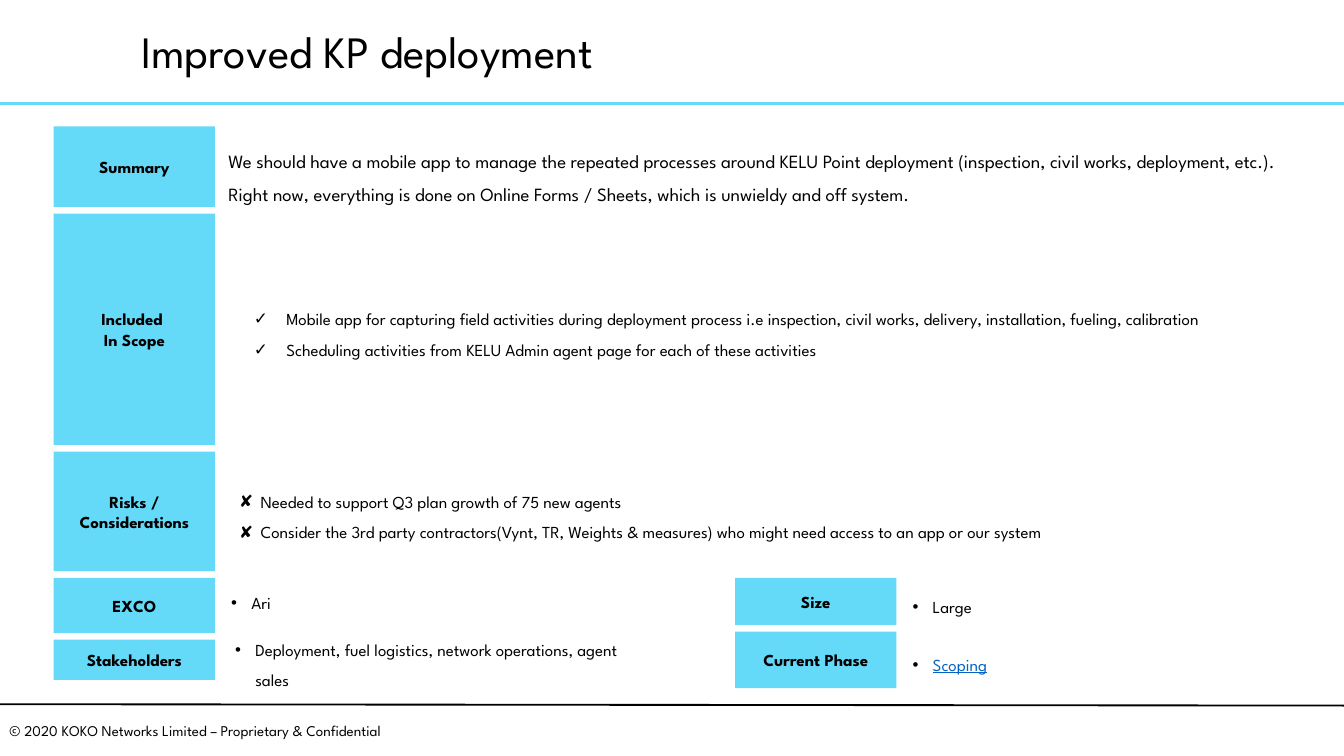
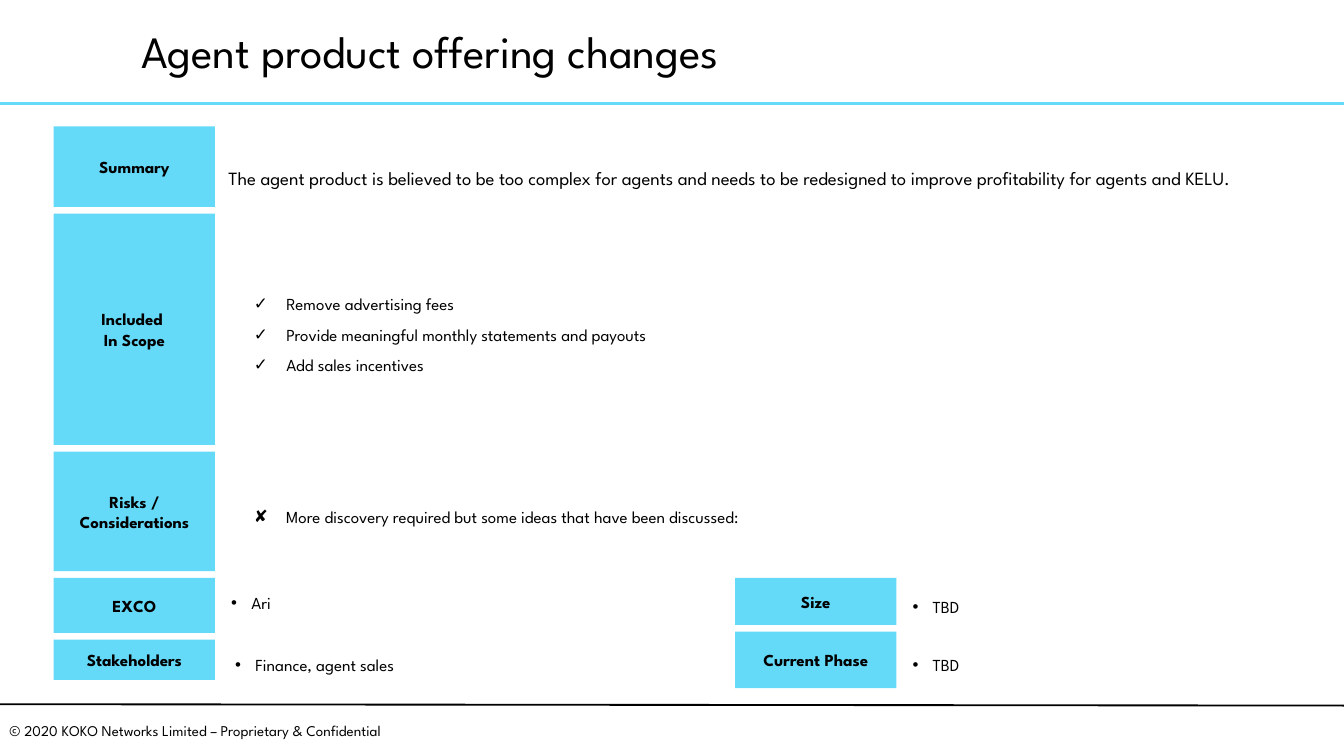
from dataclasses import dataclass

from lxml import etree
from pptx import Presentation
from pptx.dml.color import RGBColor
from pptx.enum.shapes import MSO_CONNECTOR, MSO_SHAPE
from pptx.enum.text import MSO_ANCHOR, MSO_AUTO_SIZE, PP_ALIGN
from pptx.oxml.ns import qn
from pptx.util import Inches, Pt

RECT, LINE = MSO_SHAPE.RECTANGLE, MSO_CONNECTOR.STRAIGHT
LEFT, MID = PP_ALIGN.LEFT, PP_ALIGN.CENTER
TOP, CENTRE = MSO_ANCHOR.TOP, MSO_ANCHOR.MIDDLE
FIXED = MSO_AUTO_SIZE.NONE

FONT = "League Spartan"
HEX = {"sky": "65D9F8", "ink": "000000", "link": "0563C1", "page": "FFFFFF"}
FOOTER = "© 2020 KOKO Networks Limited – Proprietary & Confidential"
PAGE = 10  # slide width, in a 16:9 format
GAP = 0.05  # between stacked labels
WIDE = 1.2  # label width


@dataclass(frozen=True)
class Style:
    size: float
    space: float = 1.0
    bold: bool = False
    line: bool = False
    hue: str = "ink"
    align: int = LEFT
    anchor: int = CENTRE
    pad: tuple[float, float] = (0, 0.07)  # sides, top and bottom


@dataclass(frozen=True)
class Mark:
    sign: str
    left: float
    hang: float


@dataclass(frozen=True)
class Label:
    lines: tuple[str, ...]
    high: float
    pad: float = 0.11


@dataclass(frozen=True)
class Stack:
    left: float
    top: float
    labels: tuple[Label, ...]


@dataclass(frozen=True)
class Note:
    lines: tuple[str, ...]
    mark: Mark | None = None
    style: Style = Style(9, 1.5)


# Text styles and bullets
TITLE = Style(24, 0.9, pad=(0.07, 0.04))
FOOT = Style(8, anchor=TOP, pad=(0.07, 0.04))
LEAD = Style(10, 1.5)
LINK = Style(9, 1.5, line=True, hue="link")
DOT = Mark("•", 0.15, 0.15)
TICK = Mark("✓", 0.38, 0.24)
CROSS = Mark("✘", 0.38, 0.24)
TIGHT = Mark("✘", 0.19, 0.16)

# Label columns
STACKS = (
    Stack(0.4, 0.94, (
        Label(("Summary",), 0.6, 0.2),
        Label(("Included ", "In Scope"), 1.72, 0.13),
        Label(("Risks / Considerations",), 0.89, 0.13),
        Label(("EXCO",), 0.41),
        Label(("Stakeholders",), 0.3),
    )),
    Stack(5.47, 4.3, (
        Label(("Size",), 0.35),
        Label(("Current Phase",), 0.42),
    )),
)

# Where each note goes: left, top, width, height
SPOTS = {
    "lead": (1.7, 1.02, 7.85, 0.52),
    "scope": (1.75, 1.59, 7.85, 1.72),
    "risks": (1.75, 3.36, 7.8, 0.9),
    "exco": (1.72, 4.3, 3.55, 0.3),
    "staff": (1.75, 4.7, 2.96, 0.42),
    "size": (6.79, 4.38, 2.96, 0.2),
    "phase": (6.79, 4.76, 1.66, 0.3),
}

PAGES = {
    "Improved KP deployment": {
        "lead": Note((
            "We should have a mobile app to manage the repeated processes around "
            "KELU Point deployment (inspection, civil works, deployment, etc.). "
            "Right now, everything is done on Online Forms / Sheets, which is "
            "unwieldy and off system.",), style=LEAD),
        "scope": Note((
            "Mobile app for capturing field activities during deployment process "
            "i.e inspection, civil works, delivery, installation, fueling, calibration",
            "Scheduling activities from KELU Admin agent page for each of these "
            "activities"), TICK),
        "risks": Note((
            "Needed to support Q3 plan growth of 75 new agents",
            "Consider the 3rd party contractors(Vynt, TR, Weights & measures) who "
            "might need access to an app or our system"), TIGHT),
        "exco": Note(("Ari",), DOT),
        "staff": Note((
            "Deployment, fuel logistics, network operations, agent sales",), DOT),
        "size": Note(("Large",), DOT),
        "phase": Note(("Scoping",), DOT, LINK),
    },
    "Agent product offering changes": {
        "lead": Note((
            "The agent product is believed to be too complex for agents and needs "
            "to be redesigned to improve profitability for agents and KELU.",),
            style=LEAD),
        "scope": Note((
            "Remove advertising fees",
            "Provide meaningful monthly statements and payouts",
            "Add sales incentives"), TICK),
        "risks": Note((
            "More discovery required but some ideas that have been discussed:",),
            CROSS),
        "exco": Note(("Ari",), DOT),
        "staff": Note(("Finance, agent sales",), DOT),
        "size": Note(("TBD",), DOT),
        "phase": Note(("TBD",), DOT),
    },
}


def tint(name: str) -> RGBColor:
    return RGBColor.from_string(HEX[name])


def apply(item, values: dict) -> None:
    for key, value in values.items():
        setattr(item, key, value)


def place(shape, spot: tuple[float, ...]) -> None:
    names = ("left", "top", "width", "height")
    apply(shape, dict(zip(names, map(Inches, spot))))


def bullet(para, mark: Mark) -> None:
    props = para._p.get_or_add_pPr()
    props.set("marL", str(Inches(mark.left)))
    props.set("indent", str(-Inches(mark.hang)))
    colour = etree.SubElement(props, qn("a:buClr"))
    etree.SubElement(colour, qn("a:srgbClr")).set("val", HEX["ink"])
    etree.SubElement(props, qn("a:buFont")).set("typeface", "Arial")
    etree.SubElement(props, qn("a:buChar")).set("char", mark.sign)


def write(shape, lines: tuple[str, ...], style: Style,
          mark: Mark | None = None) -> None:
    frame = shape.text_frame
    side, edge = map(Inches, style.pad)
    apply(frame, {
        "word_wrap": True, "auto_size": FIXED, "vertical_anchor": style.anchor,
        "margin_left": side, "margin_right": side,
        "margin_top": edge, "margin_bottom": edge,
    })
    for num, line in enumerate(lines):
        para = frame.add_paragraph() if num else frame.paragraphs[0]
        if mark:
            bullet(para, mark)
        apply(para, {"alignment": style.align, "line_spacing": style.space,
                     "space_before": Pt(0), "space_after": Pt(0)})
        run = para.add_run()
        run.text = line
        apply(run.font, {"name": FONT, "size": Pt(style.size),
                         "bold": style.bold, "underline": style.line})
        run.font.color.rgb = tint(style.hue)


def rule(slide, start: tuple[float, float], end: tuple[float, float],
         hue: str, width: float) -> None:
    line = slide.shapes.add_connector(LINE, *map(Inches, start + end))
    line.line.color.rgb = tint(hue)
    line.line.width = Pt(width)
    etree.SubElement(line._element.spPr, qn("a:effectLst"))


def box(slide, spot: tuple[float, ...]):
    return slide.shapes.add_textbox(*map(Inches, spot))


def frame(slide, title: str) -> None:
    """Draw the title, rules and footer that all slides share."""
    slide.background.fill.solid()
    slide.background.fill.fore_color.rgb = tint("page")
    rule(slide, (0, 0.77), (10.01, 0.77), "sky", 1.5)
    write(box(slide, (0, 5.33, 3.97, 0.21)), (FOOTER,), FOOT)
    rule(slide, (0, 5.24), (PAGE, 5.25), "ink", 1)
    place(slide.shapes.title, (0.98, 0.08, 8.64, 0.64))
    write(slide.shapes.title, (title,), TITLE)


def column(slide, stack: Stack) -> None:
    top = stack.top
    for label in stack.labels:
        spot = (stack.left, top, WIDE, label.high)
        tile = slide.shapes.add_shape(RECT, *map(Inches, spot))
        tile.shadow.inherit = False
        tile.fill.solid()
        tile.fill.fore_color.rgb = tint("sky")
        tile.line.fill.background()
        style = Style(9, 1.03, bold=True, align=MID, pad=(0, label.pad))
        write(tile, label.lines, style)
        top += label.high + GAP


def main() -> None:
    deck = Presentation()
    deck.slide_width = Inches(PAGE)
    deck.slide_height = Inches(PAGE * 9 / 16)
    for title, notes in PAGES.items():
        slide = deck.slides.add_slide(deck.slide_layouts[1])
        frame(slide, title)
        for stack in STACKS:
            column(slide, stack)
        # The scope list fills the body placeholder
        for key, note in notes.items():
            spot = SPOTS[key]
            if key == "scope":
                shape = slide.placeholders[1]
                place(shape, spot)
            else:
                shape = box(slide, spot)
            write(shape, note.lines, note.style, note.mark)
    deck.save("out.pptx")


if __name__ == "__main__":
    main()
